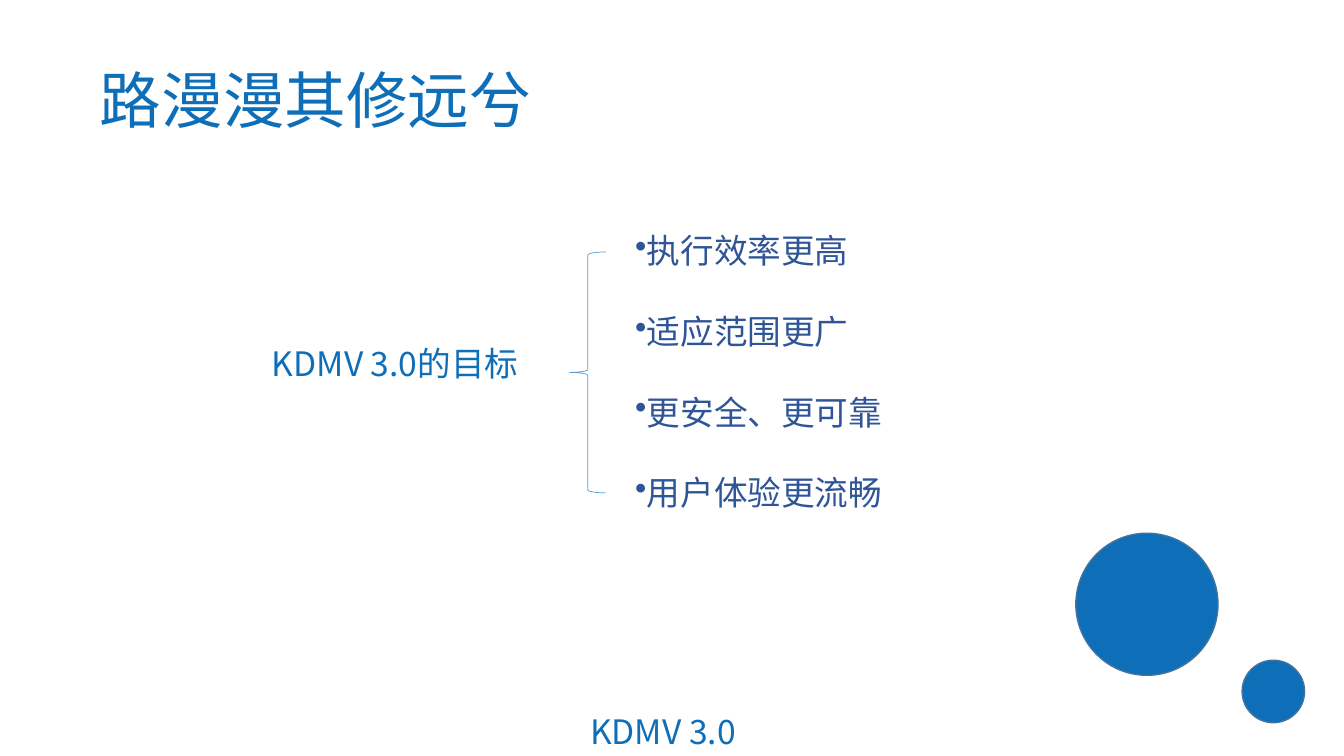
"""Build the KDMV 3.0 goals slide."""
from pptx import Presentation, oxml, util as u
from pptx.dml.color import RGBColor
from pptx.enum import shapes, text
from pptx.oxml import ns

BLUE = RGBColor(0x0E, 0x6E, 0xB8)
NAVY = RGBColor(0x2F, 0x55, 0x97)
RIM = RGBColor(0x43, 0x73, 0x9E)
SKY = RGBColor(0x5B, 0x9B, 0xD5)
PRODUCT = "KDMV 3.0"
GOALS = ["执行效率更高", "适应范围更广", "更安全、更可靠", "用户体验更流畅"]


def write(p, words, size=24, color=BLUE, font="Noto Sans CJK SC", bullet=None):
    """Write one formatted run, with an optional bullet."""
    r = p.add_run()
    r.text = words
    r.font.size, r.font.name = u.Pt(size), font
    r.font.color.rgb = color
    r._r.get_or_add_rPr().append(oxml.parse_xml(
        f'<a:ea {ns.nsdecls("a")} typeface="{font}"/>'))
    if bullet:
        p._p.get_or_add_pPr().append(oxml.parse_xml(
            f'<a:buChar {ns.nsdecls("a")} char="{bullet}"/>'))


class Deck:
    """Hold the style and the slide; boxes are percentages of its size."""

    def __init__(self, prs):
        """Add a blank slide."""
        self.size = prs.slide_width, prs.slide_height
        self.s = prs.slides.add_slide(prs.slide_layouts[6])

    def place(self, box):
        """Turn percentages into lengths."""
        return [int(share * side / 100) for share, side in zip(box, self.size * 2)]

    def shape(self, kind, box, line, width, fill=None):
        """Add a preset shape."""
        sp = self.s.shapes.add_shape(kind, *self.place(box))
        sp.shadow.inherit = False
        sp.line.color.rgb, sp.line.width = line, u.Pt(width)
        if fill is None:
            sp.fill.background()
        else:
            sp.fill.solid()
            sp.fill.fore_color.rgb = fill

    def frame(self, box):
        """Add a vertically centred text frame."""
        tf = self.s.shapes.add_textbox(*self.place(box)).text_frame
        tf.word_wrap = False
        tf.vertical_anchor = text.MSO_ANCHOR.MIDDLE
        return tf

    def label(self, words, box, **style):
        """Add one centred line of text."""
        p = self.frame(box).paragraphs[0]
        p.alignment = text.PP_ALIGN.CENTER
        write(p, words, **style)

    def bullets(self, items, box, pitch, **style):
        """Add a bulleted list with a blank line's gap between items."""
        tf = self.frame(box)
        for i, item in enumerate(items):
            p = tf.add_paragraph() if i else tf.paragraphs[0]
            p.alignment = text.PP_ALIGN.LEFT
            p.line_spacing = u.Pt(pitch)
            p.space_before = u.Pt(pitch if i else 0)
            write(p, item, bullet="•", **style)


prs = Presentation()
prs.slide_width, prs.slide_height = u.Inches(13.33), u.Inches(7.5)
deck = Deck(prs)
for circle in [(80.05, 70.53, 10.58, 18.8), (92.42, 87.33, 4.65, 8.27)]:
    deck.shape(shapes.MSO_SHAPE.OVAL, circle, RIM, 1, fill=BLUE)
deck.label("路漫漫其修远兮", (6.53, 7.47, 33.91, 11.2), size=44)
deck.label(PRODUCT, (42.54, 93.33, 13.58, 6.67))
deck.label(f"{PRODUCT}的目标", (18.83, 44.67, 21.16, 6.67))
deck.bullets(GOALS, (46.51, 29.6, 20.11, 39.07), 28.8, color=NAVY)
deck.shape(shapes.MSO_SHAPE.LEFT_BRACE, (42.39, 33.33, 2.7, 31.87), SKY, 0.5)
prs.save("out.pptx")
